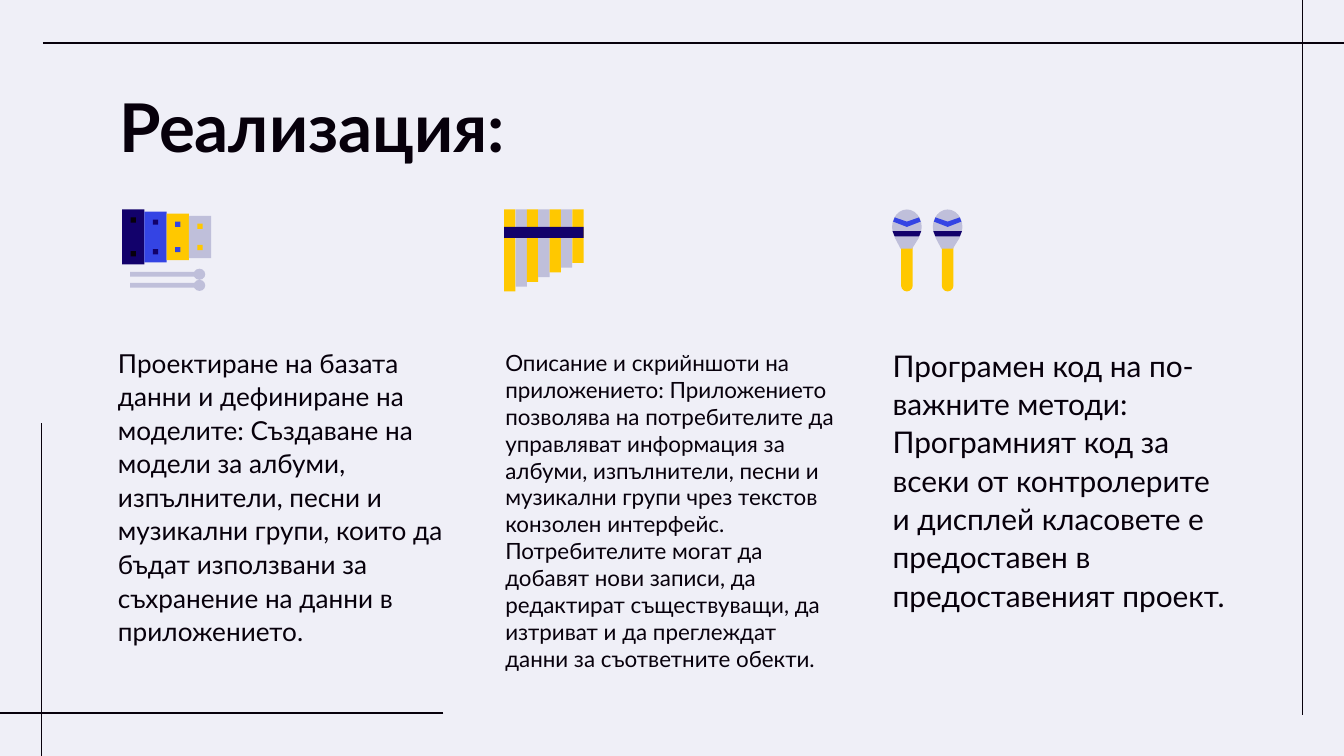
"""Builds the "Реализация" slide: three text columns under instrument icons."""
from lxml import etree
from pptx import Presentation
from pptx.dml.color import RGBColor
from pptx.enum.shapes import MSO_CONNECTOR, MSO_SHAPE
from pptx.enum.text import MSO_ANCHOR, MSO_AUTO_SIZE, PP_ALIGN
from pptx.oxml.ns import qn
from pptx.util import Cm, Pt

RECTANGLE = MSO_SHAPE.RECTANGLE
ROUNDED = MSO_SHAPE.ROUNDED_RECTANGLE
OVAL = MSO_SHAPE.OVAL
STRAIGHT = MSO_CONNECTOR.STRAIGHT
TOP = MSO_ANCHOR.TOP
LEFT = PP_ALIGN.LEFT
NO_AUTOFIT = MSO_AUTO_SIZE.NONE

THEME = {
    "font": "Lato",
    "background": "EFEFF7",
    "ink": "07000B",
    "navy": "12016B",
    "blue": "3444E4",
    "yellow": "FFC800",
    "lilac": "BFBFDA",
    "title_size": 36,
    "line_width": 0.75,
}

TITLE = "Реализация:"
COLUMNS = [
    {"text": "Проектиране на базата данни и дефиниране на моделите: Създаване на "
             "модели за албуми, изпълнители, песни и музикални групи, които да бъдат "
             "използвани за съхранение на данни в приложението.",
     "size": 14, "top": 6.27, "spacing": 1.07, "after": 8},
    {"text": "Описание и скрийншоти на приложението: Приложението позволява на "
             "потребителите да управляват информация за албуми, изпълнители, песни и "
             "музикални групи чрез текстов конзолен интерфейс. Потребителите могат да "
             "добавят нови записи, да редактират съществуващи, да изтриват и да "
             "преглеждат данни за съответните обекти.",
     "size": 12, "top": 6.35, "spacing": 1.0, "after": 0},
    {"text": "Програмен код на по-важните методи: Програмният код за всеки от "
             "контролерите и дисплей класовете е предоставен в предоставеният проект.",
     "size": 16, "top": 6.27, "spacing": 1.07, "after": 8},
]
FRAME_LINES = [
    (8.38, 13.48, 0, 13.48),
    (0.79, 14.29, 0.79, 8),
    (0.81, 0.81, 25.4, 0.81),
    (24.61, 0, 24.61, 13.51),
]
XYLOPHONE_BARS = [("navy", "ink"), ("blue", "navy"), ("yellow", "blue"), ("lilac", "yellow")]
MARACA_NECK = [(0.05, 0.53), (0.51, 0.53), (0.38, 0.74), (0.16, 0.74)]
MARACA_CHEVRON = [(0.54, 0.23), (0.28, 0.33), (0.02, 0.23),
                  (0.05, 0.15), (0.28, 0.23), (0.51, 0.15)]
MARACA_BAND = [(0.01, 0.41), (0.55, 0.41), (0.51, 0.51), (0.05, 0.51)]
ICON_TOP = 3.96


def color(name):
    return RGBColor.from_string(THEME[name])


def place(shape, left, top, width, height):
    shape.left, shape.top, shape.width, shape.height = map(Cm, (left, top, width, height))


def write(shape, text, *, size, bold=False, spacing=1.07, after=8):
    frame = shape.text_frame
    frame.word_wrap = True
    frame.auto_size = NO_AUTOFIT
    frame.vertical_anchor = TOP
    frame.margin_left = frame.margin_right = Cm(0.25)
    frame.margin_top = frame.margin_bottom = Cm(0.25)
    paragraph = frame.paragraphs[0]
    properties = paragraph._p.get_or_add_pPr()
    properties.set("marL", "0")
    properties.set("indent", "0")
    etree.SubElement(properties, qn("a:buNone"))
    paragraph.alignment = LEFT
    paragraph.line_spacing = spacing
    paragraph.space_before = Pt(0)
    paragraph.space_after = Pt(after)
    run = paragraph.add_run()
    run.text = text
    run.font.name = THEME["font"]
    run.font.size = Pt(size)
    run.font.bold = bold
    run.font.color.rgb = color("ink")


def paint(shape, fill):
    shape.shadow.inherit = False
    shape.fill.solid()
    shape.fill.fore_color.rgb = color(fill)
    shape.line.fill.background()


def add_preset(group, kind, left, top, width, height, fill):
    shape = group.shapes.add_shape(kind, Cm(left), Cm(top), Cm(width), Cm(height))
    paint(shape, fill)
    return shape


def add_outline(group, left, top, points, fill):
    corners = [(Cm(left + x), Cm(top + y)) for x, y in points]
    builder = group.shapes.build_freeform(*corners[0])
    builder.add_line_segments(corners[1:], close=True)
    paint(builder.convert_to_shape(), fill)


def add_frame_line(slide, start_x, start_y, end_x, end_y):
    line = slide.shapes.add_connector(STRAIGHT, Cm(start_x), Cm(start_y), Cm(end_x), Cm(end_y))
    line.line.color.rgb = color("ink")
    line.line.width = Pt(THEME["line_width"])
    etree.SubElement(line._element.spPr, qn("a:effectLst"))


def add_xylophone(slide, left):
    group = slide.shapes.add_group_shape()
    pitch, center, hole = 0.42, 4.48, 0.1
    for index, (bar_fill, hole_fill) in enumerate(XYLOPHONE_BARS):
        x, height = left + index * pitch, 1.04 - index * 0.08
        top = center - height / 2
        add_preset(group, RECTANGLE, x, top, pitch, height, bar_fill)
        for y in (top + 0.15, top + height - 0.15 - hole):
            add_preset(group, RECTANGLE, x + 0.16, y, hole, hole, hole_fill)
    for top in (5.08, 5.29):
        add_preset(group, RECTANGLE, left + 0.15, top + 0.06, 1.25, 0.09, "lilac")
        add_preset(group, OVAL, left + 1.35, top, 0.22, 0.21, "lilac")


def add_pan_flute(slide, left):
    group = slide.shapes.add_group_shape()
    pipes, width = 7, 1.5
    pitch = width / pipes
    for index in range(pipes):
        fill = "lilac" if index % 2 else "yellow"
        add_preset(group, RECTANGLE, left + index * pitch, ICON_TOP,
                   pitch, 1.55 - index * 0.09, fill)
    add_preset(group, RECTANGLE, left, ICON_TOP + 0.33, width, 0.21, "navy")


def add_maracas(slide, left):
    group = slide.shapes.add_group_shape()
    for x in (left, left + 0.77):
        handle = add_preset(group, ROUNDED, x + 0.17, ICON_TOP + 0.56, 0.22, 0.99, "yellow")
        handle.adjustments[0] = 0.5
        add_preset(group, OVAL, x, ICON_TOP, 0.56, 0.66, "lilac")
        add_outline(group, x, ICON_TOP, MARACA_NECK, "lilac")
        add_outline(group, x, ICON_TOP, MARACA_CHEVRON, "blue")
        add_outline(group, x, ICON_TOP, MARACA_BAND, "navy")


def main():
    presentation = Presentation()
    presentation.slide_width, presentation.slide_height = Cm(25.4), Cm(14.29)
    slide = presentation.slides.add_slide(presentation.slide_layouts[4])
    slide.background.fill.solid()
    slide.background.fill.fore_color.rgb = color("background")

    title, *bodies = slide.placeholders
    place(title, 2, 1.25, 21.4, 1.6)
    write(title, TITLE, size=THEME["title_size"], bold=True)
    for index, (body, column) in enumerate(zip(bodies, COLUMNS)):
        place(body, 1.98 + index * 7.32, column["top"], 6.81, 4.65)
        write(body, column["text"], size=column["size"],
              spacing=column["spacing"], after=column["after"])
    for unused in bodies[len(COLUMNS):]:
        unused._element.getparent().remove(unused._element)

    for ends in FRAME_LINES:
        add_frame_line(slide, *ends)
    add_xylophone(slide, 2.31)
    add_pan_flute(slide, 9.53)
    add_maracas(slide, 16.86)
    presentation.save("out.pptx")


if __name__ == "__main__":
    main()
